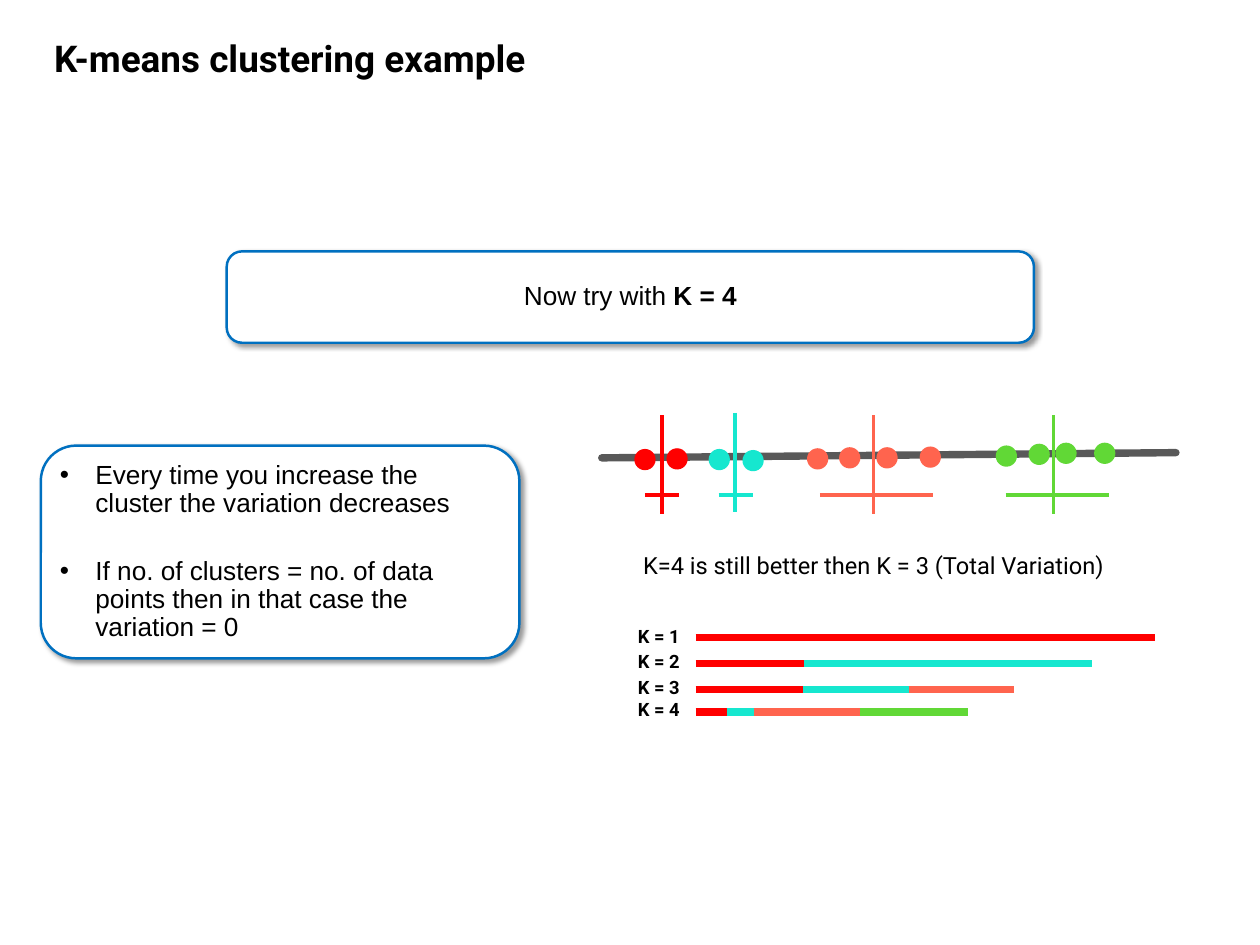
import pptx
import pptx.util
import pptx.dml.color
import pptx.enum.shapes
import pptx.enum.text
import pptx.oxml
import pptx.oxml.ns
import lxml.etree

Cm = pptx.util.Cm
Pt = pptx.util.Pt
RGBColor = pptx.dml.color.RGBColor
SHAPE = pptx.enum.shapes.MSO_SHAPE
ALIGN = pptx.enum.text.PP_ALIGN

BLACK = RGBColor(0x00, 0x00, 0x00)
WHITE = RGBColor(0xFF, 0xFF, 0xFF)
BLUE = RGBColor(0x00, 0x70, 0xC0)
GREY = RGBColor(0x59, 0x59, 0x59)
RED = RGBColor(0xFF, 0x00, 0x00)
TEAL = RGBColor(0x16, 0xE7, 0xCF)
CORAL = RGBColor(0xFF, 0x64, 0x4E)
GREEN = RGBColor(0x61, 0xD8, 0x36)
CLUSTER_COLORS = [RED, TEAL, CORAL, GREEN]

TITLE = {"name": "Roboto", "size": Pt(30), "bold": True}
BODY = {"name": "Arial", "size": Pt(21.3)}
CAPTION = {"name": "Roboto", "size": Pt(19.2)}
LABEL = {"name": "Roboto", "size": Pt(14.9), "bold": True}
DOT_SIZE = 0.61

CLUSTERS = [
    {"dots": [(1.24, 1.34), (2.16, 1.32)],
     "mean": (1.72, 0.07, 2.89), "spread": (1.24, 2.21)},
    {"dots": [(3.37, 1.34), (4.34, 1.37)],
     "mean": (3.83, 0, 2.84), "spread": (3.35, 4.34)},
    {"dots": [(6.19, 1.32), (7.11, 1.29), (8.18, 1.29), (9.42, 1.27)],
     "mean": (7.79, 0.07, 2.89), "spread": (6.25, 9.5)},
    {"dots": [(11.6, 1.24), (12.54, 1.19), (13.31, 1.16), (14.42, 1.16)],
     "mean": (12.95, 0.07, 2.89), "spread": (11.58, 14.55)},
]
VARIATIONS = [
    ("K = 1", 0, 0.41, [2.16, 15.34]),
    ("K = 2", 0.71, 1.14, [2.16, 5.26, 13.51]),
    ("K = 3", 1.45, 1.89, [2.16, 5.23, 8.28, 11.3]),
    ("K = 4", 2.08, 2.54, [2.16, 3.05, 3.84, 6.88, 9.96]),
]
SHADOW = (
    '<a:effectLst %s><a:outerShdw blurRad="50800" dist="38100" dir="2700000" '
    'algn="tl" rotWithShape="0"><a:srgbClr val="000000"><a:alpha val="40000"/>'
    '</a:srgbClr></a:outerShdw></a:effectLst>' % pptx.oxml.ns.nsdecls("a"))


def add_child(parent, tag, **attributes):
    """Append a drawing element with the given attributes."""
    return lxml.etree.SubElement(parent, pptx.oxml.ns.qn(tag), **attributes)


def write_para(para, spans, align=ALIGN.LEFT):
    """Fill a paragraph with (text, format) spans."""
    para.alignment = align
    para.line_spacing = 0.9
    for text, style in spans:
        span = para.add_run()
        span.text = text
        span.font.color.rgb = BLACK
        for name, value in style.items():
            setattr(span.font, name, value)


def add_label(page, box, text, style, align=ALIGN.CENTER):
    """Add a line of text in a box given in centimetres."""
    frame = page.shapes.add_textbox(*map(Cm, box)).text_frame
    frame.word_wrap = True
    write_para(frame.paragraphs[0], [(text, style)], align)


def add_line(page, start, end, color, width):
    """Draw a straight line without a shadow."""
    line = page.shapes.add_connector(
        pptx.enum.shapes.MSO_CONNECTOR.STRAIGHT, *map(Cm, start + end))
    line.line.color.rgb = color
    line.line.width = Pt(width)
    add_child(line._element.spPr, "a:effectLst")
    return line


def add_card(page, box):
    """Add a white rounded card with a shadow and return its text frame."""
    card = page.shapes.add_shape(SHAPE.ROUNDED_RECTANGLE, *map(Cm, box))
    card.fill.solid()
    card.fill.fore_color.rgb = WHITE
    card.line.color.rgb = BLUE
    card.line.width = Pt(2)
    card._element.spPr.append(pptx.oxml.parse_xml(SHADOW))
    frame = card.text_frame
    frame.word_wrap = True
    frame.vertical_anchor = pptx.enum.text.MSO_ANCHOR.MIDDLE
    return frame


def add_prompt(page, box):
    """Add the card that announces the next value of K."""
    frame = add_card(page, box)
    spans = [("Now try with ", BODY), ("K = 4", {**BODY, "bold": True})]
    write_para(frame.paragraphs[0], spans, ALIGN.CENTER)


def add_remarks(page, box, remarks):
    """Add the card with bulleted remarks."""
    frame = add_card(page, box)
    for index, remark in enumerate(remarks):
        para = frame.add_paragraph() if index else frame.paragraphs[0]
        write_para(para, [(remark, BODY)])
        para.space_before = Pt(32)
        properties = para._p.get_or_add_pPr()
        properties.set("marL", str(Cm(1.02)))
        properties.set("indent", str(-Cm(1.02)))
        add_child(properties, "a:buFont", typeface="Arial")
        add_child(properties, "a:buChar", char="•")


def add_number_line(page, left, top):
    """Draw the axis, its clustered points, and each mean and spread."""
    axis = add_line(page, (left, top + 1.29), (left + 16.46, top + 1.14), GREY, 6)
    axis.line._get_or_add_ln().set("cap", "rnd")
    for color, cluster in zip(CLUSTER_COLORS, CLUSTERS):
        for x, y in cluster["dots"]:
            corner = (left + x - DOT_SIZE / 2, top + y - DOT_SIZE / 2)
            dot = page.shapes.add_shape(
                SHAPE.OVAL, *map(Cm, corner + (DOT_SIZE, DOT_SIZE)))
            dot.shadow.inherit = False
            dot.fill.solid()
            dot.fill.fore_color.rgb = color
            dot.line.fill.background()
        x, high, low = cluster["mean"]
        add_line(page, (left + x, top + high), (left + x, top + low), color, 3)
        first, last = cluster["spread"]
        y = top + 2.36
        add_line(page, (left + first, y), (left + last, y), color, 3)


def add_variations(page, left, top):
    """Draw the total variation for each K as a segmented bar."""
    for text, label_y, bar_y, stops in VARIATIONS:
        add_label(page, (left, top + label_y, 2.21, 0.84), text, LABEL)
        y = top + bar_y
        for color, start, end in zip(CLUSTER_COLORS, stops, stops[1:]):
            add_line(page, (left + start, y), (left + end, y), color, 6)


def main():
    """Build the slide and save it."""
    deck = pptx.Presentation()
    deck.slide_width, deck.slide_height = Cm(36.12), Cm(27.1)
    page = deck.slides.add_slide(deck.slide_layouts[6])
    add_label(page, (1.3, 1.04, 18.64, 1.42),
              "K-means clustering example", TITLE, ALIGN.LEFT)
    add_prompt(page, (6.5, 7.21, 23.14, 2.62))
    add_remarks(page, (1.17, 12.78, 13.72, 6.1), [
        "Every time you increase the cluster the variation decreases",
        "If no. of clusters = no. of data points then in that case the variation = 0",
    ])
    add_number_line(page, 17.25, 11.84)
    add_label(page, (17.91, 15.77, 14.27, 0.99),
              "K=4 is still better then K = 3 (Total Variation)", CAPTION)
    add_variations(page, 17.78, 17.88)
    deck.save("out.pptx")


if __name__ == "__main__":
    main()
